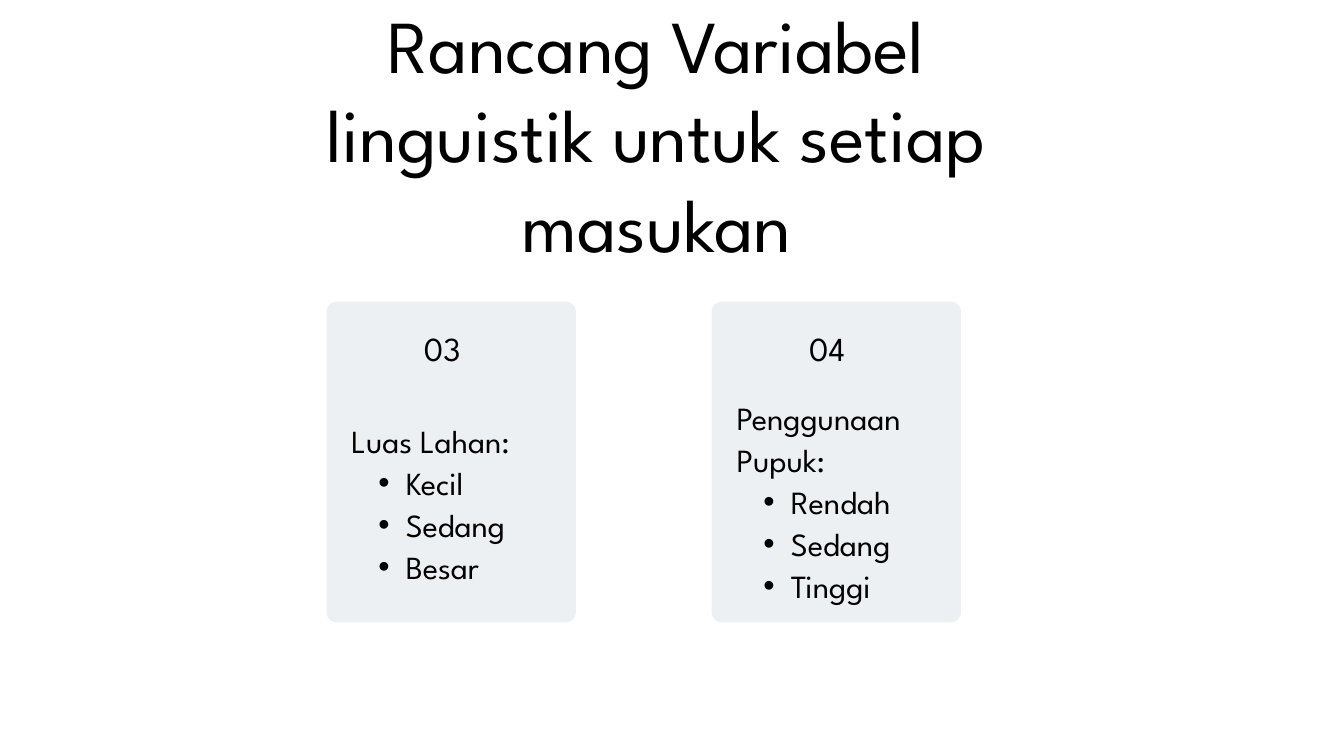
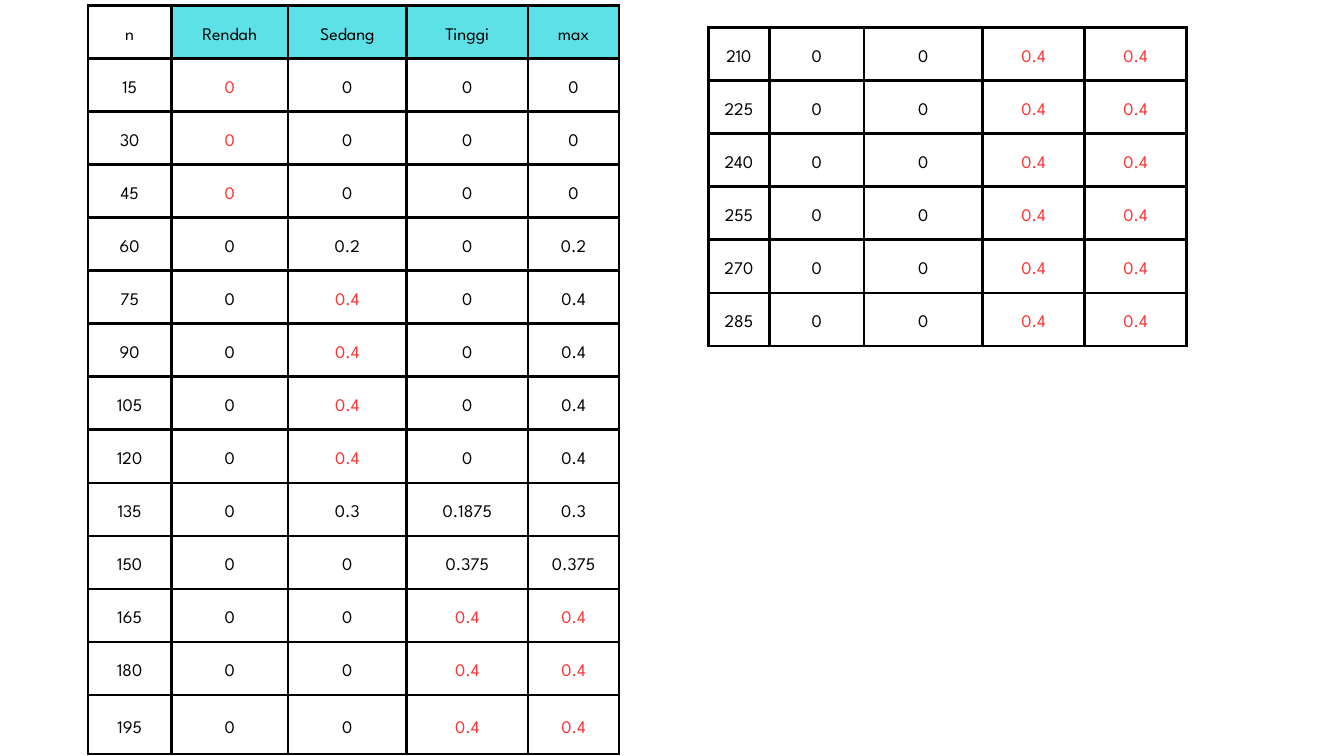
from lxml import etree
from pptx import Presentation
from pptx.dml.color import RGBColor
from pptx.enum.shapes import MSO_SHAPE
from pptx.enum.text import MSO_ANCHOR, MSO_AUTO_SIZE, PP_ALIGN
from pptx.oxml.ns import qn
from pptx.util import Inches, Pt

LEFT, CENTER = PP_ALIGN.LEFT, PP_ALIGN.CENTER
TOP, MIDDLE = MSO_ANCHOR.TOP, MSO_ANCHOR.MIDDLE
NO_FIT = MSO_AUTO_SIZE.NONE
ROUNDED = MSO_SHAPE.ROUNDED_RECTANGLE

FONT = "League Spartan"
COLORS = {"ink": "000000", "red": "FF3131", "card": "EDF0F2", "head": "5CE1E6"}
TITLE = "Rancang Variabel linguistik untuk setiap masukan"

# Card left, number, list top, list height, text size, line pitch, list lines
CARDS = [
    (4.86, "03", 6.22, 2.45, 34.5, 44.9, ["Luas Lahan:", "Kecil", "Sedang", "Besar"]),
    (10.59, "04", 5.87, 3.13, 34.6, 45, ["Penggunaan Pupuk:", "Rendah", "Sedang", "Tinggi"]),
]

# A star marks a value shown in red
LOW = [
    "n Rendah Sedang Tinggi max",
    "15 0* 0 0 0",
    "30 0* 0 0 0",
    "45 0* 0 0 0",
    "60 0 0.2 0 0.2",
    "75 0 0.4* 0 0.4",
    "90 0 0.4* 0 0.4",
    "105 0 0.4* 0 0.4",
    "120 0 0.4* 0 0.4",
    "135 0 0.3 0.1875 0.3",
    "150 0 0 0.375 0.375",
    "165 0 0 0.4* 0.4*",
    "180 0 0 0.4* 0.4*",
    "195 0 0 0.4* 0.4*",
]
HIGH = [f"{n} 0 0 0.4* 0.4*" for n in range(210, 300, 15)]


def rgb(name):
    return RGBColor.from_string(COLORS[name])


def write(frame, lines, size, pitch, color="ink", align=LEFT, bullets=False):
    """Fill a frame; with bullets, every line after the first is an item."""
    for i, line in enumerate(lines):
        para = frame.paragraphs[0] if i == 0 else frame.add_paragraph()
        para.alignment = align
        para.line_spacing = Pt(pitch)
        para.space_before = para.space_after = Pt(0)
        props = para._p.get_or_add_pPr()
        item = bullets and i > 0
        para.level = 1 if item else 0
        props.set("marL", str(Inches(0.81 if item else 0)))
        props.set("indent", str(Inches(-0.41 if item else 0)))
        if item:
            etree.SubElement(props, qn("a:buChar")).set("char", "•")
        else:
            etree.SubElement(props, qn("a:buNone"))
        run = para.add_run()
        run.text = line
        run.font.name, run.font.size = FONT, Pt(size)
        run.font.color.rgb = rgb(color)


def place(shape, left, top, width, height):
    """Put a text shape in place, without insets; return its frame."""
    shape.left, shape.top = Inches(left), Inches(top)
    shape.width, shape.height = Inches(width), Inches(height)
    frame = shape.text_frame
    frame.margin_left = frame.margin_right = 0
    frame.margin_top = frame.margin_bottom = 0
    frame.word_wrap, frame.auto_size = True, NO_FIT
    frame.vertical_anchor = TOP
    return frame


def add_card(slide, body, left, number, top, height, size, pitch, lines):
    card = slide.shapes.add_shape(
        ROUNDED, Inches(left), Inches(4.49), Inches(3.71), Inches(4.77))
    card.adjustments[0] = 0.04
    card.shadow.inherit = False
    card.fill.solid()
    card.fill.fore_color.rgb = rgb("card")
    card.line.fill.background()
    slide.shapes._spTree.insert(2, card._element)  # behind the text

    label = slide.shapes.add_textbox(0, 0, 0, 0)
    write(place(label, left + 1.45, 4.69, 0.8, 0.74), [number], 36, 56.5)
    write(place(body, left + 0.37, top, 2.98, height), lines, size, pitch, bullets=True)


def add_border(cell):
    props = cell._tc.get_or_add_tcPr()
    for side in ("lnL", "lnR", "lnT", "lnB"):
        line = etree.SubElement(props, qn(f"a:{side}"), w=str(Pt(3)))
        fill = etree.SubElement(line, qn("a:solidFill"))
        etree.SubElement(fill, qn("a:srgbClr"), val=COLORS["ink"])


def fill_cell(cell, text, head):
    cell.margin_left = cell.margin_right = Inches(0.21)
    cell.margin_top = cell.margin_bottom = Inches(0.21)
    cell.vertical_anchor = MIDDLE
    color = "red" if text.endswith("*") else "ink"
    write(cell.text_frame, [text.rstrip("*")], 19, 26.6, color=color, align=CENTER)
    add_border(cell)
    if head:
        cell.fill.solid()
        cell.fill.fore_color.rgb = rgb("head")
    else:
        cell.fill.background()


def add_grid(slide, left, top, widths, pitch, rows, head=False):
    table = slide.shapes.add_table(
        len(rows), len(widths), Inches(left), Inches(top),
        Inches(sum(widths)), Inches(pitch * len(rows))).table
    table.first_row = head
    table.horz_banding = False
    for col, width in zip(table.columns, widths):
        col.width = Inches(width)
    for r, row in enumerate(rows):
        table.rows[r].height = Inches(pitch)
        for c, text in enumerate(row.split()):
            fill_cell(table.cell(r, c), text, head and r == 0 and c > 0)
    return table


def main():
    prs = Presentation()
    prs.slide_width, prs.slide_height = Inches(20), Inches(11.25)

    # Linguistic variables
    slide = prs.slides.add_slide(prs.slide_layouts[3])
    title, *bodies = slide.placeholders
    write(place(title, 3.83, -0.02, 11.88, 4.02), [TITLE], 80, 96, align=CENTER)
    for body, card in zip(bodies, CARDS):
        add_card(slide, body, *card)

    # Membership tables
    slide = prs.slides.add_slide(prs.slide_layouts[6])
    low = add_grid(slide, 1.31, 0.08, [1.24, 1.74, 1.76, 1.81, 1.35],
                   10.21 / 13, LOW, head=True)
    low.rows[len(LOW) - 1].height = Inches(0.88)
    add_grid(slide, 10.54, 0.41, [0.91, 1.41, 1.76, 1.52, 1.52], 4.73 / 6, HIGH)

    prs.save("out.pptx")


if __name__ == "__main__":
    main()
